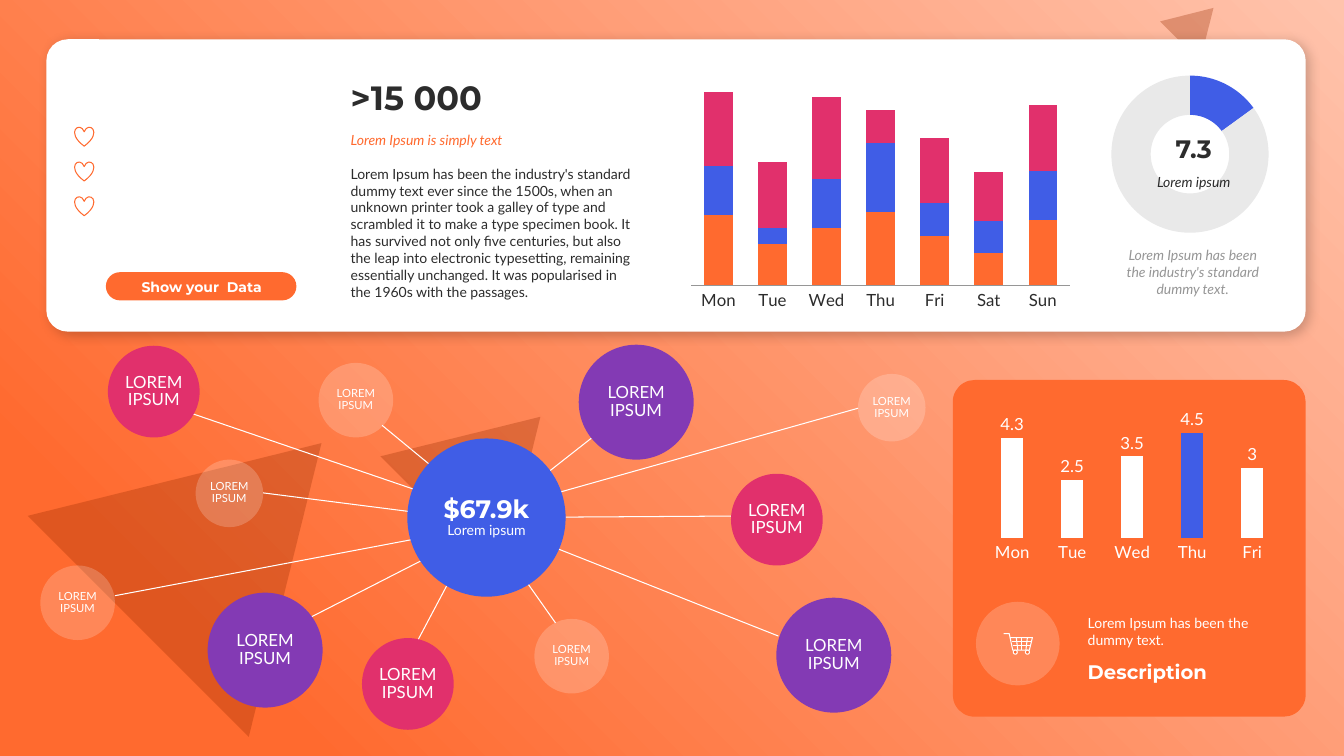
from lxml import etree
from pptx import Presentation
from pptx import util as u
from pptx.chart import data
from pptx.dml import color
from pptx.enum import chart as ch, shapes, text
from pptx.oxml import parse_xml
from pptx.oxml.ns import qn

rgb = color.RGBColor.from_string
NS = 'xmlns:a="http://schemas.openxmlformats.org/drawingml/2006/main"'
KIND = shapes.MSO_SHAPE
ORANGE, BLUE, PINK, PURPLE = "FF6A2F", "405DE6", "E1306C", "833AB4"
WHITE, DARK, BROWN, GREY = "FFFFFF", "2C2C2C", "972B00", "969696"

deck = Presentation()
deck.slide_width, deck.slide_height = u.Inches(13.33), u.Inches(7.5)
page = deck.slides.add_slide(deck.slide_layouts[6])
items = page.shapes


def form(kind, box, hue, alpha=100):
    shape = items.add_shape(kind, *map(u.Inches, box))
    shape.shadow.inherit = False
    shape.fill.solid()
    shape.fill.fore_color.rgb = rgb(hue)
    shape.line.fill.background()
    if alpha < 100:
        tint = shape._element.spPr.find(qn("a:solidFill"))[0]
        etree.SubElement(tint, qn("a:alpha")).set("val", str(alpha * 1000))
    return shape


def write(para, words, size, face, hue, bold=False, slant=False, align="LEFT"):
    para.text = words
    para.alignment = text.PP_ALIGN[align]
    font = para.font
    font.size, font.name, font.bold, font.italic = u.Pt(size), face, bold, slant
    font.color.rgb = rgb(hue)


back = form(KIND.RECTANGLE, (0, 0, 13.33, 7.5), ORANGE)
props = back._element.spPr
props.replace(props.find(qn("a:solidFill")), parse_xml(
    f'<a:gradFill {NS} rotWithShape="1"><a:gsLst>'
    '<a:gs pos="0"><a:srgbClr val="FFC3AC"/></a:gs>'
    '<a:gs pos="85000"><a:srgbClr val="FF6A2F"/></a:gs></a:gsLst>'
    '<a:path path="circle"><a:fillToRect l="100000" b="100000"/></a:path>'
    '</a:gradFill>'))

for box in [(0.73, 4.02, 3.1, 2.57), (4.02, 3.93, 1.69, 1.4), (11.59, 0.01, 0.56, 0.47)]:
    form(KIND.ISOSCELES_TRIANGLE, box, BROWN, 30).rotation = 45

card = form(KIND.ROUNDED_RECTANGLE, (0.46, 0.39, 12.49, 2.9), WHITE)
card.adjustments[0] = 0.073
glow = card._element.spPr.find(qn("a:effectLst"))
glow.append(parse_xml(
    f'<a:outerShdw {NS} blurRad="101600" dist="38100" dir="2700000" algn="tl" rotWithShape="0">'
    '<a:srgbClr val="000000"><a:alpha val="20000"/></a:srgbClr></a:outerShdw>'))

for row in range(3):
    heart = form(KIND.HEART, (0.74, 1.26 + row * 0.345, 0.19, 0.19), WHITE)
    heart.line.color.rgb = rgb(ORANGE)
    heart.line.width = u.Pt(0.75)

form(KIND.ROUNDED_RECTANGLE, (1.05, 2.7, 1.89, 0.28), ORANGE).adjustments[0] = 0.5

panel = form(KIND.ROUNDED_RECTANGLE, (9.45, 3.77, 3.5, 3.34), ORANGE)
panel.adjustments[0] = 0.065
form(KIND.OVAL, (9.68, 5.97, 0.83, 0.83), WHITE, 20)

cart = [
    [(0, 5), (55, 5), (90, 170), (255, 170), (285, 45), (70, 45)],
    [(80, 85), (275, 85)], [(90, 125), (265, 125)],
    [(125, 45), (140, 170)], [(180, 45), (180, 170)], [(235, 45), (220, 170)],
]
for path in cart:
    spots = [(x + 9955, y + 6280) for x, y in path]
    pen = items.build_freeform(*spots[0], scale=u.Inches(1) / 1000)
    pen.add_line_segments(spots[1:], close=False)
    wire = pen.convert_to_shape()
    wire.shadow.inherit = False
    wire.fill.background()
    wire.line.color.rgb = rgb(WHITE)
    wire.line.width = u.Pt(0.75)
for x in (10.05, 10.17):
    wheel = form(KIND.OVAL, (x, 6.45, 0.04, 0.04), ORANGE)
    wheel.line.color.rgb = rgb(WHITE)
    wheel.line.width = u.Pt(0.75)

small, mid, large = (8, WHITE, 20), (12, PINK, 100), (12, PURPLE, 100)
nodes = [
    (1.07, 3.43, 0.91, mid, (1.75, 4.05, 4.27, 4.91)),
    (1.94, 4.56, 0.67, small, (2.61, 4.89, 4.18, 5.09)),
    (0.4, 5.61, 0.74, small, (1.14, 5.91, 4.21, 5.33)),
    (2.06, 5.88, 1.14, large, (3.01, 6.16, 4.3, 5.5)),
    (3.16, 3.6, 0.74, small, (3.79, 4.22, 4.36, 4.69)),
    (3.59, 6.33, 0.91, mid, (4.5, 5.68, 4.14, 6.36)),
    (5.3, 6.14, 0.74, small, (5.15, 5.67, 5.51, 6.18)),
    (5.74, 3.42, 1.14, large, (5.34, 4.76, 5.9, 4.32)),
    (8.51, 3.71, 0.67, small, (5.42, 4.92, 8.51, 4.05)),
    (7.25, 4.7, 0.91, mid, (5.61, 5.13, 7.26, 5.12)),
    (7.7, 5.93, 1.14, large, (5.42, 5.4, 7.72, 6.31)),
]
for *_, ends in nodes:
    spoke = items.add_connector(shapes.MSO_CONNECTOR.STRAIGHT, *map(u.Inches, ends))
    spoke.line.color.rgb = rgb(WHITE)
    spoke.line.width = u.Pt(0.75)
    etree.SubElement(spoke._element.spPr, qn("a:effectLst"))

discs = [(x, y, d, hue, alpha, [("LOREM IPSUM", size, "Lato", False)])
         for x, y, d, (size, hue, alpha), _ in nodes]
discs.append((4.04, 4.35, 1.57, BLUE, 100,
              [("$67.9k", 18, "Montserrat", True), ("Lorem ipsum", 10, "Lato", False)]))
for x, y, d, hue, alpha, lines in discs:
    frame = form(KIND.OVAL, (x, y, d, d), hue, alpha).text_frame
    frame.word_wrap = True
    frame.margin_left = frame.margin_right = 0
    frame.vertical_anchor = text.MSO_ANCHOR.MIDDLE
    for num, (words, size, face, bold) in enumerate(lines):
        para = frame.add_paragraph() if num else frame.paragraphs[0]
        write(para, words, size, face, WHITE, bold, align="CENTER")
        para.line_spacing = 0.89

days = ["Mon", "Tue", "Wed", "Thu", "Fri", "Sat", "Sun"]
week = [(86, 50, 70, 90, 60, 40, 80), (60, 20, 60, 84, 40, 38, 60), (90, 80, 100, 40, 80, 60, 80)]
TYPE = ch.XL_CHART_TYPE
plans = [
    (TYPE.COLUMN_STACKED, (6.78, 0.51, 3.91, 2.61), days, week,
     (ORANGE, BLUE, PINK), DARK, 12, (0.02, 0.11, 0.96, 0.78)),
    (TYPE.DOUGHNUT, (10.96, 0.75, 1.72, 1.56), ["1", "2"], [(15, 85)],
     (BLUE,), DARK, 10, (0.03, 0, 0.92, 1)),
    (TYPE.COLUMN_CLUSTERED, (9.68, 4.06, 3.1, 1.54), days[:5], [(4.3, 2.5, 3.5, 4.5, 3)],
     (WHITE,), WHITE, 12, (0.02, 0.07, 0.96, 0.76)),
]
charts = []
for kind, box, cats, rows, hues, ink, size, area in plans:
    feed = data.CategoryChartData()
    feed.categories = cats
    for num, row in enumerate(rows, 1):
        feed.add_series(f"Series {num}", row)
    chart = items.add_chart(kind, *map(u.Inches, box), feed).chart
    chart.has_legend = chart.has_title = False
    chart.font.size, chart.font.name = u.Pt(size), "Lato"
    chart.font.color.rgb = rgb(ink)
    for series, hue in zip(chart.plots[0].series, hues):
        series.format.fill.solid()
        series.format.fill.fore_color.rgb = rgb(hue)
    plot = chart._chartSpace.chart.plotArea
    for old in plot.findall(qn("c:layout")):
        plot.remove(old)
    sides = "".join(f'<c:{tag} val="{val}"/>' for tag, val in zip("xywh", area))
    plot.insert(0, parse_xml(
        '<c:layout xmlns:c="http://schemas.openxmlformats.org/drawingml/2006/chart"><c:manualLayout>'
        '<c:layoutTarget val="inner"/><c:xMode val="edge"/><c:yMode val="edge"/>'
        f'{sides}</c:manualLayout></c:layout>'))
    charts.append(chart)

stack, ring, bars = charts
for chart, top, gap in [(stack, 250, 90), (bars, 5, 171)]:
    chart.plots[0].vary_by_categories = False
    chart.plots[0].gap_width = gap
    axis = chart.value_axis
    axis.visible = axis.has_major_gridlines = False
    axis.minimum_scale, axis.maximum_scale = 0, top
    chart.category_axis.major_tick_mark = ch.XL_TICK_MARK.NONE
stack.plots[0].overlap = 100
stack.category_axis.format.line.color.rgb = rgb(GREY)
bars.category_axis.format.line.fill.background()
bars.plots[0].has_data_labels = True
tags = bars.plots[0].data_labels
tags.show_value, tags.position = True, ch.XL_LABEL_POSITION.OUTSIDE_END
ring._chartSpace.find(".//" + qn("c:holeSize")).set("val", "80")
for chart, spot, hue in [(ring, 0, BLUE), (ring, 1, "E9E9E9"), (bars, 3, BLUE)]:
    look = chart.plots[0].series[0].points[spot].format
    look.fill.solid()
    look.fill.fore_color.rgb = rgb(hue)
    look.line.fill.background()

story = ("Lorem Ipsum has been the industry's standard dummy text ever since the 1500s, "
         "when an unknown printer took a galley of type and scrambled it to make a type "
         "specimen book. It has survived not only five centuries, but also the leap into "
         "electronic typesetting, remaining essentially unchanged. It was popularised in "
         "the 1960s with the passages.")
blurbs = [
    ((3.38, 1.26, 3.02, 0.27), "TOP", ("Lorem Ipsum is simply text", 10, "Lato", ORANGE, False, True)),
    ((3.38, 0.71, 3.02, 0.5), "BOTTOM", (">15 000", 24, "Montserrat", DARK, True)),
    ((3.38, 1.59, 3.02, 1.45), "TOP", (story, 10, "Lato", DARK)),
    ((1.13, 2.71, 1.74, 0.27), "MIDDLE", ("Show your  Data", 10, "Montserrat", WHITE, True, False, "CENTER")),
    ((11.03, 2.4, 1.6, 0.61), "TOP",
     ("Lorem Ipsum has been the industry's standard dummy text.", 10, "Lato", GREY, False, True, "CENTER")),
    ((10.69, 6.05, 2.23, 0.44), "TOP", ("Lorem Ipsum has been the dummy text.", 10, "Lato", WHITE)),
    ((10.69, 6.49, 2.23, 0.34), "BOTTOM", ("Description", 14, "Montserrat", WHITE, True)),
    ((11.29, 1.67, 1.1, 0.27), "TOP", ("Lorem ipsum", 10, "Lato", DARK, False, True, "CENTER")),
    ((11.29, 1.27, 1.1, 0.4), "BOTTOM", ("7.3", 18, "Montserrat", DARK, True, False, "CENTER")),
]
for box, anchor, style in blurbs:
    frame = items.add_textbox(*map(u.Inches, box)).text_frame
    frame.word_wrap = True
    frame.vertical_anchor = text.MSO_ANCHOR[anchor]
    write(frame.paragraphs[0], *style)

deck.save("out.pptx")
